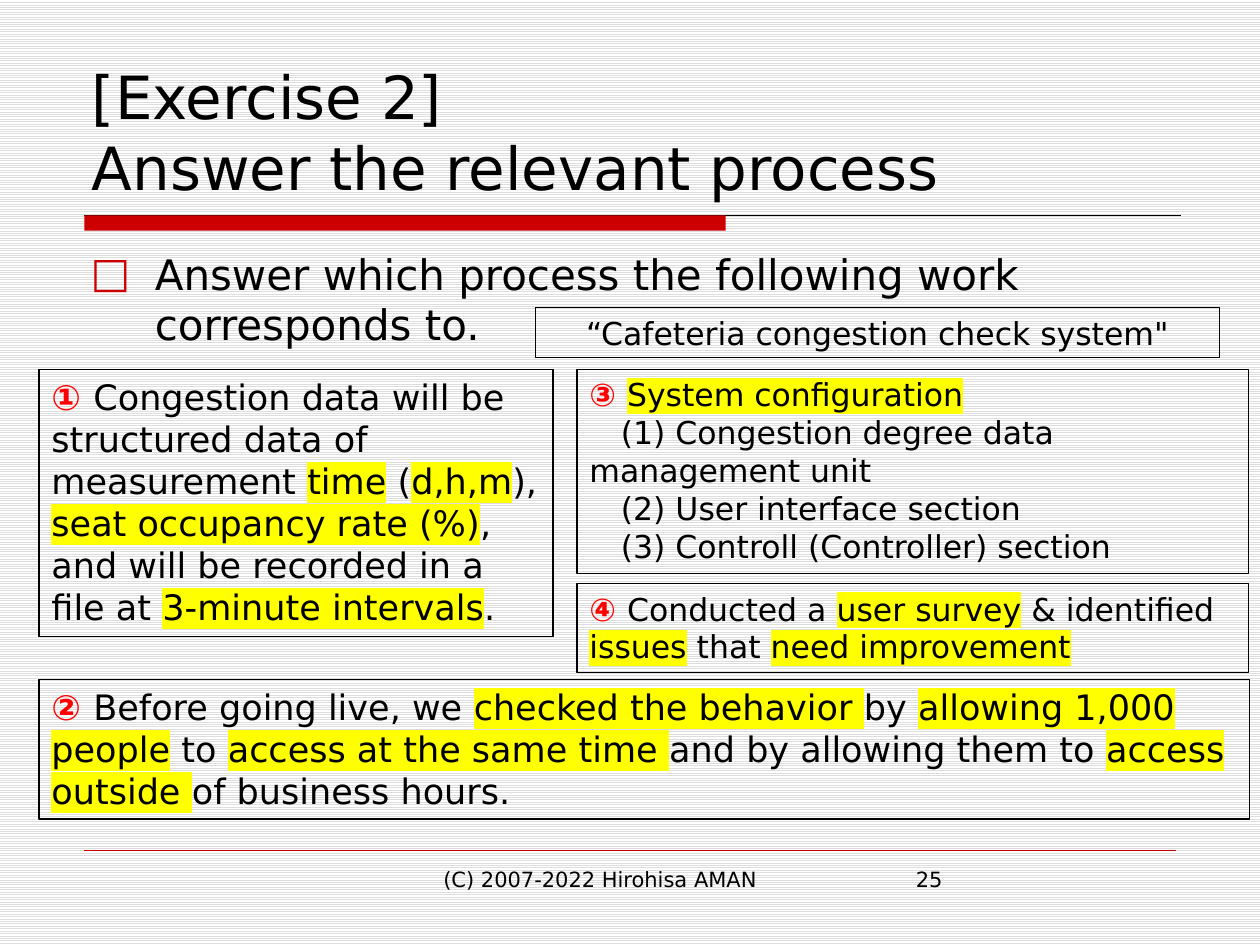
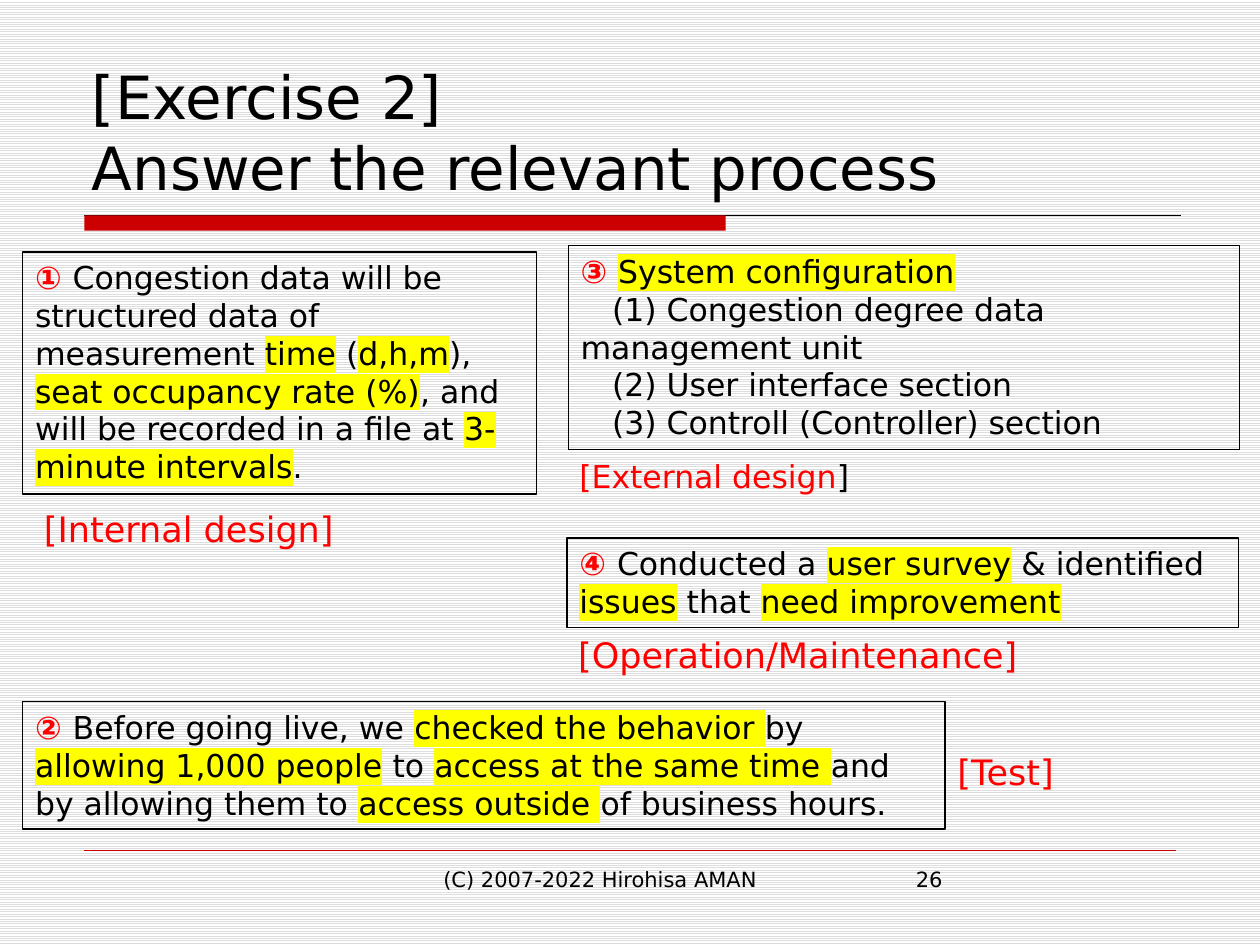
from dataclasses import dataclass

from lxml import etree
from pptx import Presentation
from pptx import util as u
from pptx.dml.color import RGBColor
from pptx.enum import dml, shapes, text
from pptx.oxml.ns import qn


@dataclass(frozen=True)
class Theme:
    font: str = "DejaVu Sans"
    ink: str = "000000"
    accent: str = "CC0000"
    answer: str = "FF0000"
    marker: str = "FFFF00"
    stripe: str = "DDDDDD"
    paper: str = "FFFFFF"
    title: int = 34
    lead: int = 24
    large: int = 20
    normal: int = 18
    footer: int = 12


T = Theme()
Box = tuple[float, float, float, float]


@dataclass(frozen=True)
class Statement:
    """A framed piece of work, chosen by its number."""
    number: str
    at: Box
    size: int = T.normal


@dataclass(frozen=True)
class Answer:
    """The process name that answers a statement."""
    name: str
    at: Box
    size: int = T.large
    bracket: str = T.answer


# Wording: bars enclose highlighted words, \n starts a paragraph, \v a line
TITLE = "[Exercise 2]\vAnswer the relevant process"
FOOTER = "(C) 2007-2022 Hirohisa AMAN"
LEAD = "Answer which process the following work corresponds to."
SYSTEM = "“Cafeteria congestion check system\""
WORK = {
    "①": "Congestion data will be structured data of measurement |time| (|d,h,m|), "
         "|seat occupancy rate (%)|, and will be recorded in a file at "
         "|3-minute intervals|.",
    "②": "Before going live, we |checked the behavior |by |allowing 1,000 people| to "
         "|access at the same time |and by allowing them to |access outside |"
         "of business hours.",
    "③": "|System configuration|\n"
         "　(1) Congestion degree data management unit\n"
         "　(2) User interface section\n"
         "　(3) Controll (Controller) section",
    "④": "Conducted a |user survey| & identified |issues| that |need improvement|",
}


def rgb(color: str) -> RGBColor:
    return RGBColor.from_string(color)


def inches(at: Box) -> list[u.Length]:
    return [u.Inches(v) for v in at]


# Text
def add_run(p, words: str, *, size: int, color: str = T.ink, bold: bool = False,
            highlight: bool = False) -> None:
    r = p.add_run()
    r.text = words
    f = r.font
    f.size, f.bold, f.name = u.Pt(size), bold, T.font
    f.color.rgb = rgb(color)
    props = r.font.fill._xPr
    latin = props.find(qn("a:latin"))
    if highlight:
        mark = etree.Element(qn("a:highlight"))
        etree.SubElement(mark, qn("a:srgbClr"), val=T.marker)
        latin.addprevious(mark)
    latin.addnext(etree.Element(qn("a:ea"), typeface=T.font))


def put_text(tf, words: str, *, size: int, color: str = T.ink, number: str = "",
             align=text.PP_ALIGN.LEFT, anchor=text.MSO_ANCHOR.TOP):
    """Fill a text frame and return its last paragraph."""
    tf.word_wrap = True
    tf.auto_size = text.MSO_AUTO_SIZE.NONE
    tf.vertical_anchor = anchor
    for i, para in enumerate(words.split("\n")):
        p = tf.add_paragraph() if i else tf.paragraphs[0]
        p.alignment = align
        if number and not i:
            add_run(p, number + " ", size=size, color=T.answer, bold=True)
        for j, part in enumerate(para.split("|")):
            for k, line in enumerate(part.split("\v")):
                if k:
                    p.add_line_break()
                if line:
                    add_run(p, line, size=size, color=color, highlight=j % 2 == 1)
    return p


def add_text(s, at: Box, words: str, **fmt):
    return put_text(s.shapes.add_textbox(*inches(at)).text_frame, words, **fmt)


# Shapes
def add_rect(s, at: Box):
    sp = s.shapes.add_shape(shapes.MSO_SHAPE.RECTANGLE, *inches(at))
    sp.shadow.inherit = False
    return sp


def add_frame(s, at: Box, words: str, **fmt) -> None:
    sp = add_rect(s, at)
    sp.fill.background()
    sp.line.color.rgb = rgb(T.ink)
    sp.line.width = u.Pt(0.75)
    put_text(sp.text_frame, words, **fmt)


def add_rule(s, left: float, right: float, y: float, color: str, width: float) -> None:
    cn = s.shapes.add_connector(shapes.MSO_CONNECTOR.STRAIGHT,
                                *inches((left, y, right, y)))
    cn.line.color.rgb = rgb(color)
    cn.line.width = u.Pt(width)
    etree.SubElement(cn._element.spPr, qn("a:effectLst"))


# Parts shared by the slides
def set_background(prs) -> None:
    fill = prs.slide_master.background.fill
    fill.patterned()
    fill.pattern = dml.MSO_PATTERN.LIGHT_HORIZONTAL
    fill.fore_color.rgb = rgb(T.stripe)
    fill.back_color.rgb = rgb(T.paper)


def add_exercise_slide(prs, page: int):
    s = prs.slides.add_slide(prs.slide_layouts[5])
    title = s.shapes.title
    title.left, title.top, title.width, title.height = inches((0.63, 0.33, 8.75, 1.33))
    put_text(title.text_frame, TITLE, size=T.title, anchor=text.MSO_ANCHOR.BOTTOM)
    # Title band and footer
    add_rule(s, 0.67, 9.37, 1.71, T.ink, 0.5)
    band = add_rect(s, (0.67, 1.71, 5.09, 0.12))
    band.fill.solid()
    band.fill.fore_color.rgb = rgb(T.accent)
    band.line.fill.background()
    add_rule(s, 0.67, 9.33, 6.75, T.accent, 0.25)
    add_text(s, (3.42, 6.83, 3.17, 0.52), FOOTER, size=T.footer)
    add_text(s, (7.17, 6.83, 2.17, 0.52), str(page), size=T.footer)
    return s


def add_statements(s, statements: list[Statement]) -> None:
    for st in statements:
        add_frame(s, st.at, WORK[st.number], size=st.size, number=st.number)


def add_lead(s) -> None:
    p = add_text(s, (0.62, 1.92, 8.75, 0.9), LEAD, size=T.lead)
    props = p._p.get_or_add_pPr()
    props.set("marL", str(u.Inches(0.51)))
    props.set("indent", str(-u.Inches(0.51)))
    color = etree.SubElement(props, qn("a:buClr"))
    etree.SubElement(color, qn("a:srgbClr"), val=T.accent)
    etree.SubElement(props, qn("a:buFont"), typeface=T.font)
    etree.SubElement(props, qn("a:buChar"), char="□")


# Slides
def build_question(prs) -> None:
    s = add_exercise_slide(prs, 25)
    add_lead(s)
    add_frame(s, (4.25, 2.44, 5.43, 0.4), SYSTEM, size=T.normal,
              align=text.PP_ALIGN.CENTER)
    add_statements(s, [
        Statement("③", (4.58, 2.93, 5.33, 1.62)),
        Statement("①", (0.31, 2.93, 4.08, 2.12), T.large),
        Statement("②", (0.31, 5.39, 9.61, 1.11), T.large),
        Statement("④", (4.58, 4.63, 5.33, 0.71)),
    ])


def build_answers(prs) -> None:
    s = add_exercise_slide(prs, 26)
    add_statements(s, [
        Statement("③", (4.51, 1.95, 5.33, 1.62)),
        Statement("①", (0.18, 2, 4.08, 1.92)),
        Statement("②", (0.18, 5.57, 7.32, 1.01)),
        Statement("④", (4.5, 4.27, 5.33, 0.71)),
    ])
    for a in (
        Answer("Internal design", (0.25, 3.98, 3.88, 0.44)),
        Answer("External design", (4.5, 3.58, 5.25, 0.4), T.normal, T.ink),
        Answer("Test", (7.5, 5.91, 1.42, 0.44)),
        Answer("Operation/Maintenance", (4.49, 4.98, 3.73, 0.44)),
    ):
        p = add_text(s, a.at, "[" + a.name, size=a.size, color=T.answer)
        add_run(p, "]", size=a.size, color=a.bracket)


def main() -> None:
    prs = Presentation()
    prs.slide_width, prs.slide_height = u.Inches(10), u.Inches(7.5)
    set_background(prs)
    build_question(prs)
    build_answers(prs)
    prs.save("out.pptx")


if __name__ == "__main__":
    main()
